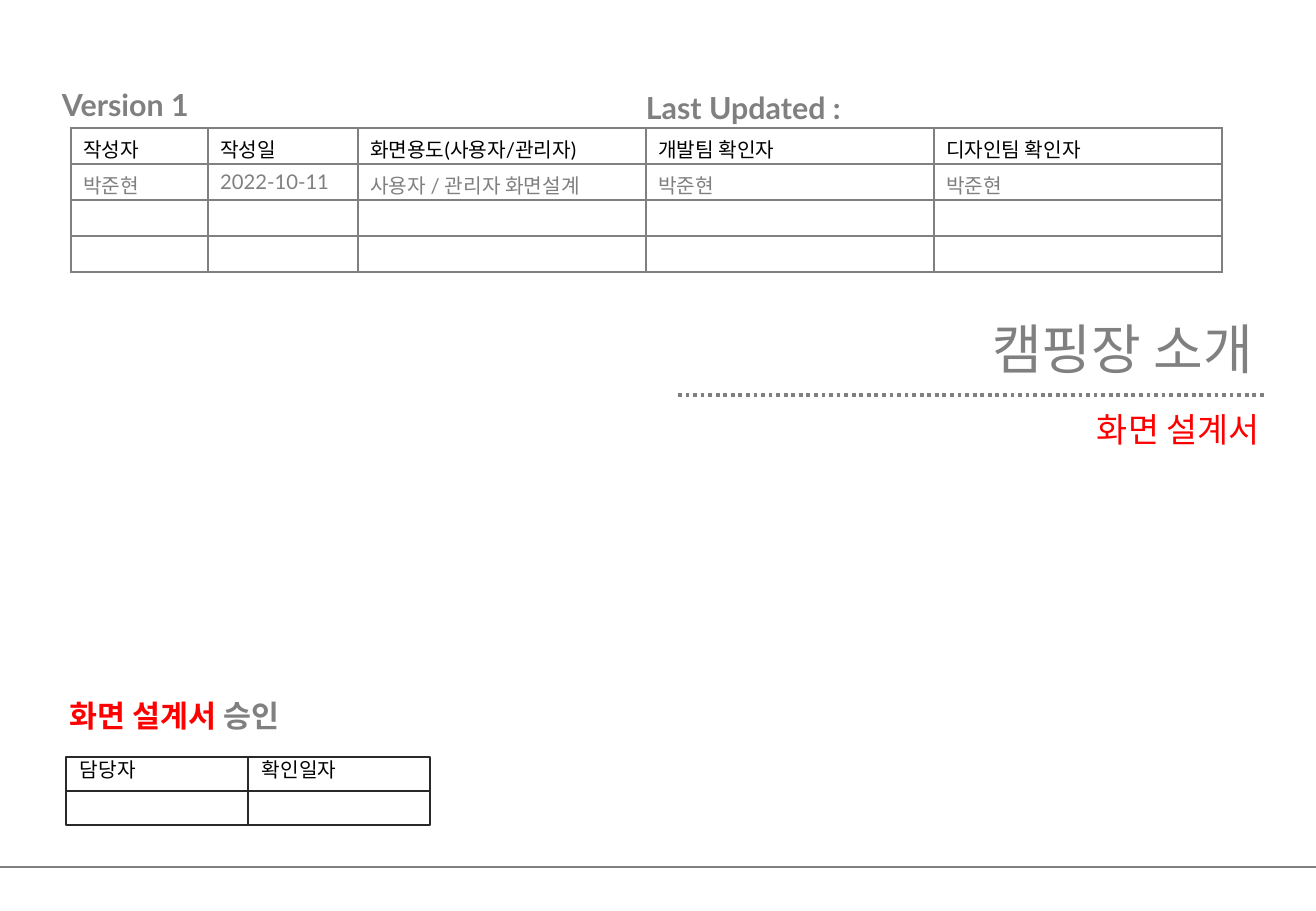
import pptx
import pptx.util
import pptx.dml.color
import pptx.enum.dml
import pptx.enum.shapes
import pptx.enum.text
import pptx.oxml.ns
import lxml.etree

COLORS = {"gray": "808080", "red": "FF0000", "black": "000000", "ink": "292929"}
LATIN, KOREAN = "Lato", "Noto Sans CJK KR"
PAGE_SIZE = (1316, 911)

LINES = [
    ((0, 867), (1316, 867), 0.75, None),
    ((678, 395), (1266, 395), 2.25, pptx.enum.dml.MSO_LINE.ROUND_DOT),
]
HEADINGS = [
    ((50, 80, 221, 49), [("Version 1", "gray")]),
    ((634, 83, 588, 49), [("Last Updated :", "gray")]),
    ((58, 691, 258, 49), [("화면 설계서", "red"), (" 승인", "gray")]),
]
TITLES = [
    ((95, 319, 1170, 58), "캠핑장 소개", 32, "gray", 1.0, "MIDDLE"),
    ((512, 391, 760, 106), "화면 설계서", 20, "red", 1.3, "TOP"),
]
HISTORY_AT = (71, 128)
HISTORY_COLUMNS = [137, 150, 288, 288, 288]
HISTORY_ROW = 36
HISTORY = [
    ["작성자", "작성일", "화면용도(사용자/관리자)", "개발팀 확인자", "디자인팀 확인자"],
    ["박준현", "2022-10-11", "사용자 / 관리자 화면설계", "박준현", "박준현"],
    [""] * 5,
    [""] * 5,
]
APPROVAL_AT = (66, 757)
APPROVAL_CELL = (182, 34)
APPROVAL = [("담당자", 85), ("확인일자", 105)]


def px(value):
    return pptx.util.Emu(round(value * 914400 / 121.5))


def color(name):
    return pptx.dml.color.RGBColor.from_string(COLORS[name])


def style(paragraph, size, name, face, bold=False):
    font = paragraph.font
    font.size = pptx.util.Pt(size)
    font.bold = bold
    font.color.rgb = color(name)
    font.name = face
    defaults = paragraph._p.pPr.find(pptx.oxml.ns.qn("a:defRPr"))
    east = lxml.etree.SubElement(defaults, pptx.oxml.ns.qn("a:ea"))
    east.set("typeface", KOREAN)


def add_text(page, frame, spans, size, face, bold=False, wrap=True):
    box = page.shapes.add_textbox(*map(px, frame))
    box.text_frame.word_wrap = wrap
    paragraph = box.text_frame.paragraphs[0]
    style(paragraph, size, spans[0][1], face, bold)
    for text, name in spans:
        span = paragraph.add_run()
        span.text = text
        if len(spans) > 1:
            span.font.color.rgb = color(name)
    return box.text_frame


def add_line(page, start, end, width, dash):
    line = page.shapes.add_connector(
        pptx.enum.shapes.MSO_CONNECTOR.STRAIGHT, *map(px, start + end))
    line.line.color.rgb = color("gray")
    line.line.width = pptx.util.Pt(width)
    if dash:
        line.line.dash_style = dash
    lxml.etree.SubElement(line._element.spPr, pptx.oxml.ns.qn("a:effectLst"))


def add_borders(cell):
    properties = cell._tc.get_or_add_tcPr()
    for index, side in enumerate(("lnL", "lnR", "lnT", "lnB")):
        border = lxml.etree.Element(pptx.oxml.ns.qn("a:" + side), w="12700")
        fill = lxml.etree.SubElement(border, pptx.oxml.ns.qn("a:solidFill"))
        lxml.etree.SubElement(fill, pptx.oxml.ns.qn("a:srgbClr"), val=COLORS["gray"])
        properties.insert(index, border)


def add_history(page):
    size = (sum(HISTORY_COLUMNS), HISTORY_ROW * len(HISTORY))
    table = page.shapes.add_table(
        len(HISTORY), len(HISTORY_COLUMNS), *map(px, HISTORY_AT + size)).table
    table.first_row = False
    table.horz_banding = False
    for column, width in zip(table.columns, HISTORY_COLUMNS):
        column.width = px(width)
    for row_index, texts in enumerate(HISTORY):
        table.rows[row_index].height = px(HISTORY_ROW)
        for column_index, text in enumerate(texts):
            cell = table.cell(row_index, column_index)
            cell.fill.background()
            cell.margin_top, cell.margin_bottom = px(6), 0
            add_borders(cell)
            paragraph = cell.text_frame.paragraphs[0]
            if text:
                paragraph.text = text
            else:
                ending = lxml.etree.SubElement(
                    paragraph._p, pptx.oxml.ns.qn("a:endParaRPr"))
                ending.set("sz", "1200")
            style(paragraph, 12, "gray" if row_index else "black", LATIN)


def add_approval(page):
    left, top = APPROVAL_AT
    width, height = APPROVAL_CELL
    for column, (label, label_width) in enumerate(APPROVAL):
        x = left + column * width
        for row in range(2):
            box = page.shapes.add_shape(
                pptx.enum.shapes.MSO_SHAPE.RECTANGLE,
                *map(px, (x, top + row * height, width, height)))
            box.shadow.inherit = False
            box.fill.background()
            box.line.color.rgb = color("ink")
            box.line.width = pptx.util.Pt(0.75)
        add_text(page, (x + 2, top - 6, label_width, 36),
                 [(label, "black")], 12, KOREAN, wrap=False)


def main():
    deck = pptx.Presentation()
    deck.slide_width, deck.slide_height = map(px, PAGE_SIZE)
    page = deck.slides.add_slide(deck.slide_layouts[6])
    for line in LINES:
        add_line(page, *line)
    for frame, text, size, name, spacing, anchor in TITLES:
        text_frame = add_text(page, frame, [(text, name)], size, KOREAN)
        text_frame.vertical_anchor = pptx.enum.text.MSO_ANCHOR[anchor]
        paragraph = text_frame.paragraphs[0]
        paragraph.alignment = pptx.enum.text.PP_ALIGN.RIGHT
        paragraph.line_spacing = spacing
    for frame, spans in HEADINGS:
        add_text(page, frame, spans, 18, LATIN, bold=True)
    add_history(page)
    add_approval(page)
    deck.save("out.pptx")


if __name__ == "__main__":
    main()
